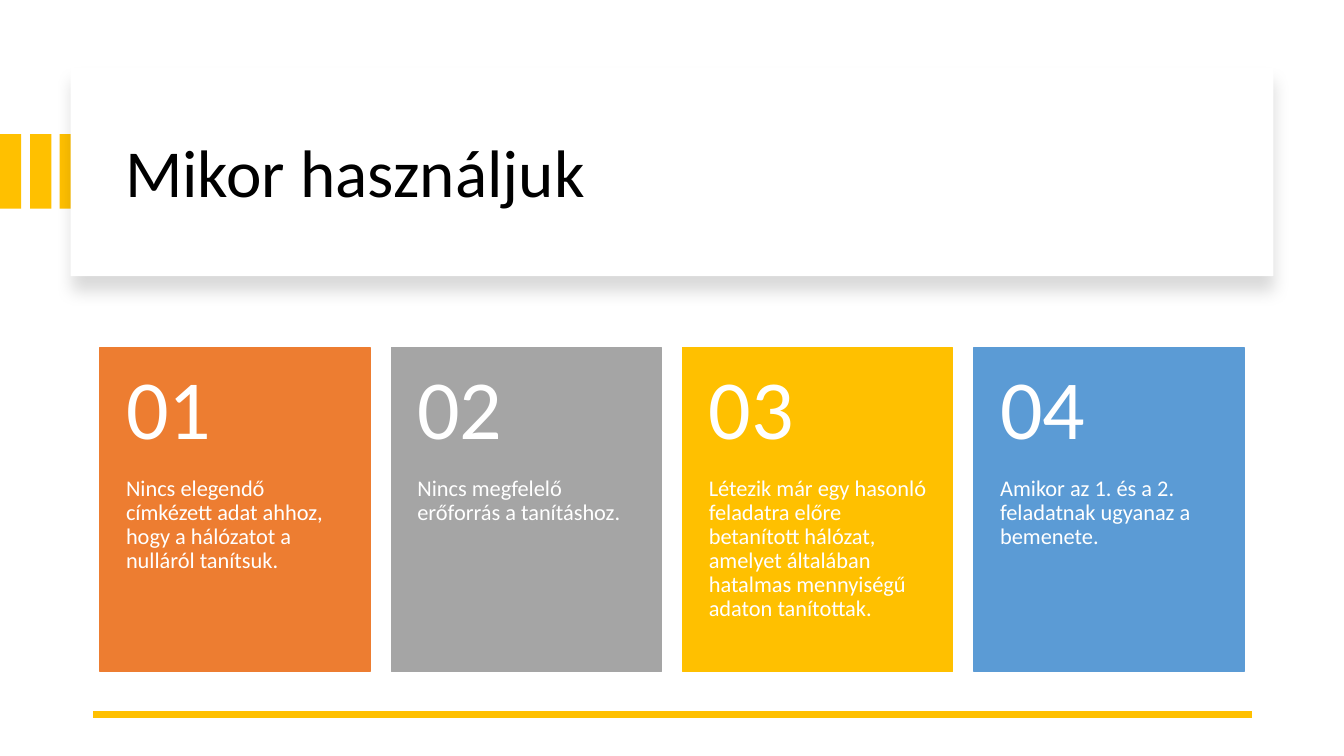
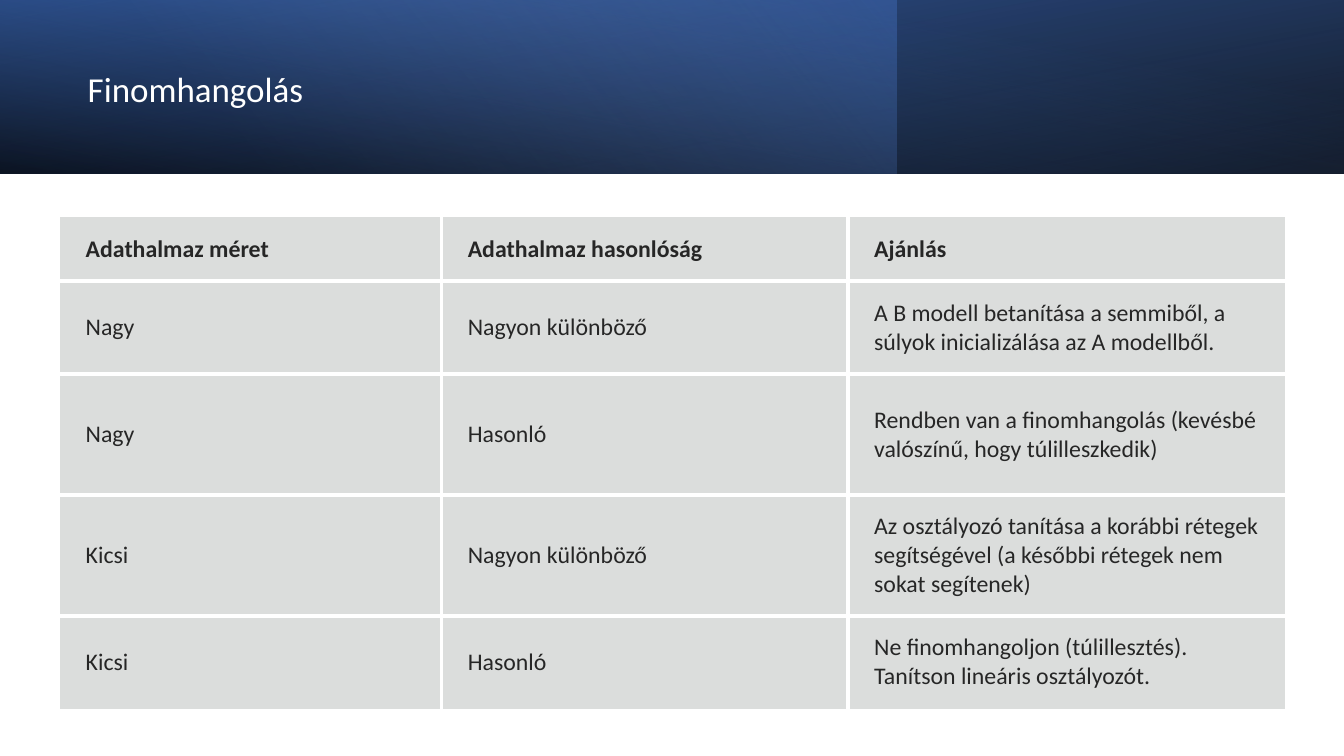
from lxml import etree
from pptx import Presentation
from pptx import util as u
from pptx.dml.color import RGBColor
from pptx.enum import shapes, text
from pptx.oxml import parse_xml
from pptx.oxml.ns import nsdecls, qn

PX = 9144
FONT = "Calibri"
WHITE, BLACK, GOLD = "FFFFFF", "000000", "FFC000"
rgb = RGBColor.from_string


def add_block(slide, left, top, width, height, fill):
    block = slide.shapes.add_shape(
        shapes.MSO_SHAPE.RECTANGLE, left * PX, top * PX, width * PX, height * PX)
    block.shadow.inherit = False
    block.fill.solid()
    block.fill.fore_color.rgb = rgb(fill)
    block.line.fill.background()
    return block


def write(holder, words, size, color, margins=(10, 5, 10, 5),
          anchor=text.MSO_ANCHOR.MIDDLE, spacing=0.9, bold=False):
    frame = holder.text_frame
    frame.text = words
    frame.word_wrap = True
    holder.margin_left, holder.margin_top, holder.margin_right, holder.margin_bottom = (
        m * PX for m in margins)
    frame.vertical_anchor = holder.vertical_anchor = anchor
    frame.margin_left, frame.margin_top, frame.margin_right, frame.margin_bottom = (
        m * PX for m in margins)
    paragraph = frame.paragraphs[0]
    paragraph.alignment = text.PP_ALIGN.LEFT
    paragraph.line_spacing = spacing
    paragraph.font.name = FONT
    paragraph.font.size = u.Pt(size)
    paragraph.font.bold = bold
    paragraph.font.color.rgb = rgb(color)


prs = Presentation()
prs.slide_width, prs.slide_height = u.Inches(13.33), u.Inches(7.5)
title_only = prs.slide_layouts[5]
usage, tuning = (prs.slides.add_slide(title_only) for _ in range(2))

for i in range(3):
    add_block(usage, round(i * 29.5), 133, 21, 74, GOLD)
banner = add_block(usage, 70, 67, 1193, 207, WHITE)
effects = banner._element.spPr.find(qn("a:effectLst"))
effects.append(parse_xml(
    f'<a:outerShdw {nsdecls("a")} blurRad="{u.Pt(11)}" dist="{u.Pt(10)}" dir="5400000" '
    f'algn="t" rotWithShape="0"><a:srgbClr val="{BLACK}"><a:alpha val="15000"/>'
    '</a:srgbClr></a:outerShdw>'))

rule = usage.shapes.add_connector(
    shapes.MSO_CONNECTOR.STRAIGHT, 1242 * PX, 709 * PX, 92 * PX, 709 * PX)
rule.line.color.rgb = rgb(GOLD)
rule.line.width = u.Pt(4.5)
etree.SubElement(rule._element.spPr, qn("a:effectLst"))

reasons = [
    ("ED7D31", "Nincs elegendő címkézett adat ahhoz, hogy a hálózatot a nulláról tanítsuk."),
    ("A5A5A5", "Nincs megfelelő erőforrás a tanításhoz."),
    (GOLD, "Létezik már egy hasonló feladatra előre betanított hálózat, "
           "amelyet általában hatalmas mennyiségű adaton tanítottak."),
    ("5B9BD5", "Amikor az 1. és a 2. feladatnak ugyanaz a bemenete."),
]
for i, (card_color, reason) in enumerate(reasons):
    left = 99 + i * 289
    card = add_block(usage, left, 345, 268, 321, card_color)
    card.line.color.rgb = rgb(card_color)
    card.line.width = u.Pt(1)
    for words, top, height, size, margins, anchor in (
            (f"{i + 1:02d}", 345, 128, 60, (26, 18, 26, 18), text.MSO_ANCHOR.MIDDLE),
            (reason, 473, 193, 16, (26, 0, 26, 36), text.MSO_ANCHOR.TOP)):
        label = usage.shapes.add_textbox(left * PX, top * PX, 268 * PX, height * PX)
        write(label, words, size, WHITE, margins, anchor)

header_layers = [
    (1333, 260, [(0, BLACK, 96), (100, "2F5597", 100)]),
    (889, 140, [(0, "4472C4", 41), (74, "8FAADC", 0)]),
    (1333, 280, [(0, BLACK, 63), (78, "4472C4", 15)]),
]
for width, angle, stops in header_layers:
    layer = add_block(tuning, 0, 0, width, 172, BLACK)
    stop_list = "".join(
        f'<a:gs pos="{pos * 1000}"><a:srgbClr val="{color}">'
        f'<a:alpha val="{alpha * 1000}"/></a:srgbClr></a:gs>'
        for pos, color, alpha in stops)
    properties = layer._element.spPr
    properties.replace(properties.find(qn("a:solidFill")), parse_xml(
        f'<a:gradFill {nsdecls("a")} rotWithShape="1"><a:gsLst>{stop_list}</a:gsLst>'
        f'<a:lin ang="{angle * 60000}" scaled="0"/></a:gradFill>'))

advice = [
    ("Adathalmaz méret", "Adathalmaz hasonlóság", "Ajánlás"),
    ("Nagy", "Nagyon különböző",
     "A B modell betanítása a semmiből, a súlyok inicializálása az A modellből."),
    ("Nagy", "Hasonló",
     "Rendben van a finomhangolás (kevésbé valószínű, hogy túlilleszkedik)"),
    ("Kicsi", "Nagyon különböző",
     "Az osztályozó tanítása a korábbi rétegek segítségével "
     "(a későbbi rétegek nem sokat segítenek)"),
    ("Kicsi", "Hasonló",
     "Ne finomhangoljon (túlillesztés). Tanítson lineáris osztályozót."),
]
column_widths = [379, 403, 434]
row_heights = [64, 92, 120, 120, 92]
table = tuning.shapes.add_table(
    len(row_heights), len(column_widths), 59 * PX, 215 * PX,
    sum(column_widths) * PX, sum(row_heights) * PX).table
table.horz_banding = False
for column, width in zip(table.columns, column_widths):
    column.width = width * PX
for row, height in zip(table.rows, row_heights):
    row.height = height * PX
last_row, last_column = len(row_heights) - 1, len(column_widths) - 1
for r, row in enumerate(advice):
    for c, words in enumerate(row):
        cell = table.cell(r, c)
        write(cell, words, 17, "262626", (26, 16, 16, 16), spacing=1, bold=r == 0)
        cell.fill.solid()
        cell.fill.fore_color.rgb = rgb("DBDDDC")
        inner_edges = (("lnL", c > 0), ("lnR", c < last_column),
                       ("lnT", r > 0), ("lnB", r < last_row))
        for i, (edge, inner) in enumerate(inner_edges):
            paint = (f'<a:solidFill><a:srgbClr val="{WHITE}"/></a:solidFill>'
                     if inner else "<a:noFill/>")
            cell._tc.tcPr.insert(i, parse_xml(
                f'<a:{edge} {nsdecls("a")} w="{u.Pt(3)}">{paint}</a:{edge}>'))

for slide, words, box, size, color in (
        (usage, "Mikor használjuk", (114, 89, 1113, 170), 48, BLACK),
        (tuning, "Finomhangolás", (77, 27, 772, 127), 25, WHITE)):
    title = slide.shapes.title
    title.left, title.top, title.width, title.height = (v * PX for v in box)
    title.text_frame.auto_size = text.MSO_AUTO_SIZE.NONE
    write(title, words, size, color)
    slide.shapes._spTree.append(title._element)

prs.save("out.pptx")
